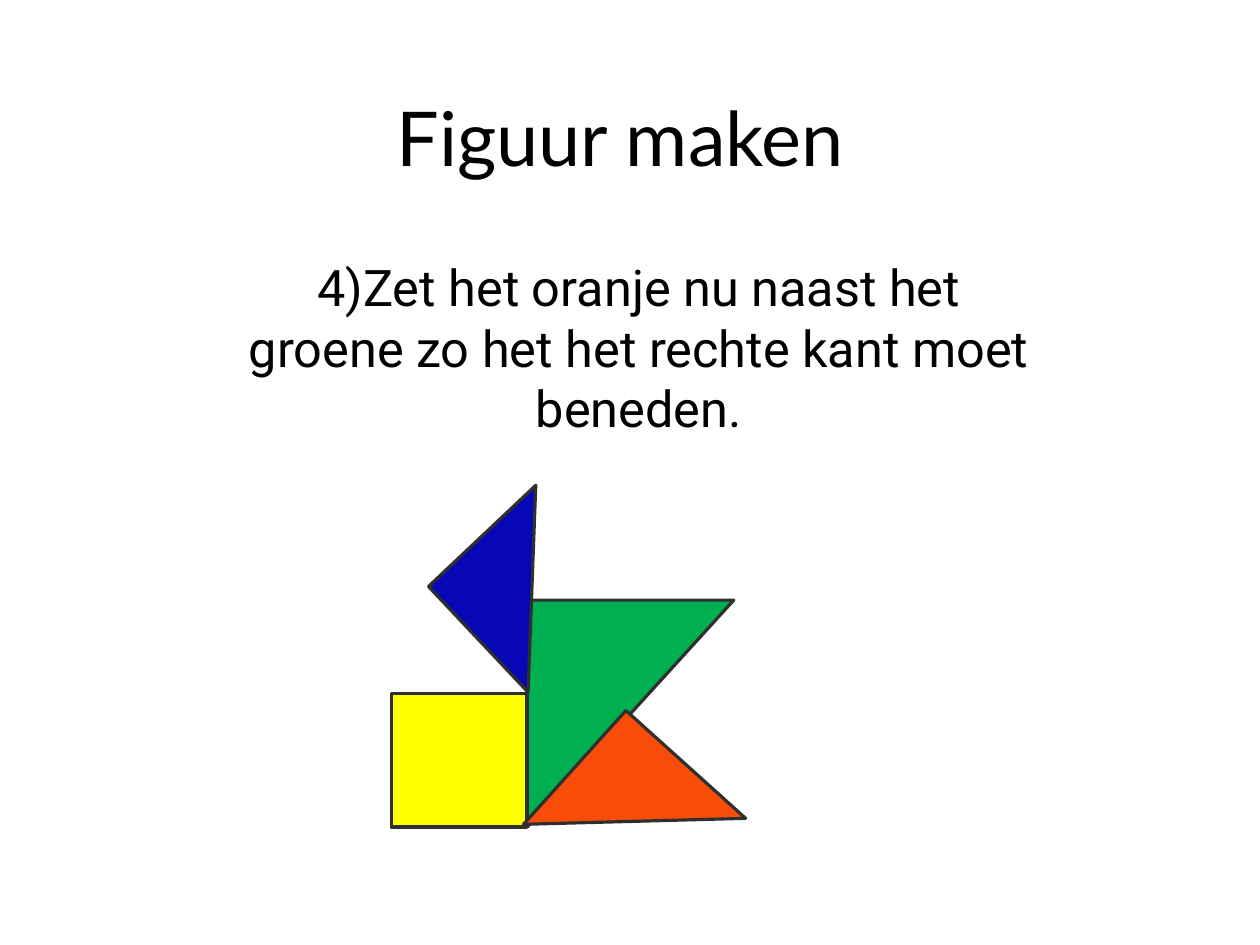
from dataclasses import dataclass

from pptx import Presentation
from pptx.dml.color import RGBColor as Rgb
from pptx.enum.shapes import MSO_SHAPE as Kind
from pptx.enum.text import MSO_ANCHOR as Anchor, PP_ALIGN as Align
from pptx.util import Inches, Pt


@dataclass(frozen=True)
class Theme:
    ink: str = "000000"
    edge: str = "2F2F2F"
    green: str = "00B050"
    yellow: str = "FFFF00"
    blue: str = "0707B5"
    orange: str = "F74D09"
    title: tuple = ("Lato", 48)
    body: tuple = ("Roboto", 32)
    line: float = 2
    inset: float = 0.1


THEME = Theme()


def set_all(item, values):
    for name, value in values.items():
        setattr(item, name, value)


def add_text(slide, text, box, style):
    frame = slide.shapes.add_textbox(*map(Inches, box)).text_frame
    pad = Inches(THEME.inset)
    set_all(frame, {
        "word_wrap": True, "vertical_anchor": Anchor.TOP,
        "margin_left": pad, "margin_right": pad,
        "margin_top": pad, "margin_bottom": pad,
    })
    para = frame.paragraphs[0]
    para.alignment = Align.CENTER
    run = para.add_run()
    run.text = text
    face, size = style
    set_all(run.font, {"name": face, "size": Pt(size)})
    run.font.color.rgb = Rgb.from_string(THEME.ink)


def add_piece(slide, kind, box, color, turn=0):
    piece = slide.shapes.add_shape(kind, *map(Inches, box))
    piece.rotation = turn
    piece.shadow.inherit = False
    piece.fill.solid()
    piece.fill.fore_color.rgb = Rgb.from_string(color)
    piece.line.color.rgb = Rgb.from_string(THEME.edge)
    piece.line.width = Pt(THEME.line)


def main():
    deck = Presentation()
    set_all(deck, {"slide_width": Inches(11.11), "slide_height": Inches(8.33)})
    slide = deck.slides.add_slide(deck.slide_layouts[6])

    # Title and instruction
    add_text(slide, "Figuur maken ", (1, 0.7, 9.11, 1.33), THEME.title)
    add_text(slide,
             "4)Zet het oranje nu naast het groene zo het het rechte kant "
             "moet beneden.",
             (2.08, 2.16, 7.11, 1), THEME.body)

    # Tangram pieces, from back to front
    wedge = Kind.RIGHT_TRIANGLE
    add_piece(slide, wedge, (4.56, 5.38, 2, 1.82), THEME.green, 90)
    add_piece(slide, Kind.RECTANGLE, (3.45, 6.11, 1.19, 1.18), THEME.yellow)
    add_piece(slide, wedge, (4.05, 4.54, 1.28, 1.3), THEME.blue, 46.7)
    add_piece(slide, wedge, (4.92, 6.53, 1.35, 1.42), THEME.orange, 132)

    deck.save("out.pptx")


if __name__ == "__main__":
    main()
